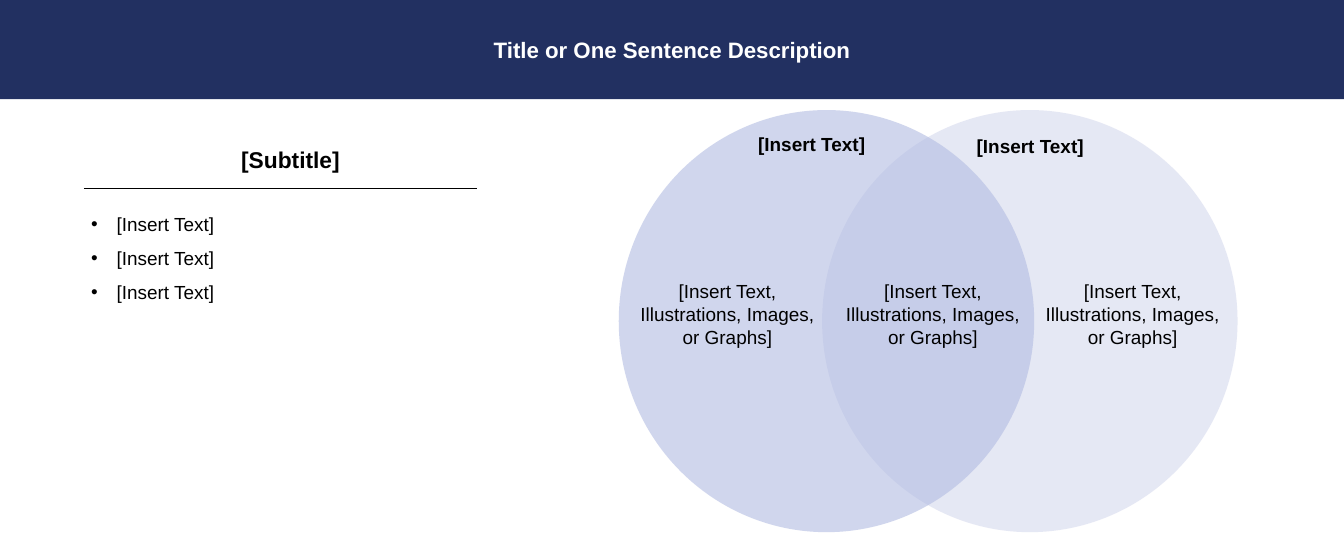
import dataclasses

import pptx
import pptx.dml.color
import pptx.enum.shapes
import pptx.enum.text
import pptx.oxml.ns
import pptx.util
from lxml import etree

SHAPE = pptx.enum.shapes.MSO_SHAPE
ALIGN = pptx.enum.text.PP_ALIGN
ANCHOR = pptx.enum.text.MSO_ANCHOR
FIT = pptx.enum.text.MSO_AUTO_SIZE
qn = pptx.oxml.ns.qn


@dataclasses.dataclass(frozen=True)
class Theme:
    font: str = "Arial"
    navy: str = "223061"
    left_circle: str = "B2BCE2"
    right_circle: str = "D5D9EE"
    ink: str = "000000"
    paper: str = "FFFFFF"
    title_size: float = 22
    subtitle_size: float = 22.5
    body_size: float = 18.7
    rule_width: float = 0.5
    circle_opacity: int = 60
    bullet_indent: float = 0.35


def rgb(value):
    return pptx.dml.color.RGBColor.from_string(value)


def apply_format(target, values):
    for name, value in values.items():
        setattr(target, name, value)


class SlideBuilder:
    def __init__(self, presentation, theme):
        self.presentation = presentation
        self.theme = theme
        self.slide = presentation.slides.add_slide(presentation.slide_layouts[6])

    def place(self, left, top, width, height):
        across = self.presentation.slide_width / 100
        down = self.presentation.slide_height / 100
        return [round(share * unit) for share, unit in
                zip((left, top, width, height), (across, down, across, down))]

    def shape(self, kind, box, color, opacity=100):
        shape = self.slide.shapes.add_shape(kind, *self.place(*box))
        shape.shadow.inherit = False
        shape.fill.solid()
        shape.fill.fore_color.rgb = rgb(color)
        shape.line.fill.background()
        if opacity < 100:
            fill_color = shape._element.spPr.find(qn("a:solidFill"))[0]
            etree.SubElement(fill_color, qn("a:alpha"), val=str(opacity * 1000))
        return shape

    def set_text(self, shape, lines, size, color, bold=False, align=ALIGN.CENTER, spacing=None):
        frame = shape.text_frame
        frame.text = "\n".join(lines)
        for paragraph in frame.paragraphs:
            apply_format(paragraph, {"alignment": align, "line_spacing": spacing})
            for run in paragraph.runs:
                apply_format(run.font, {"name": self.theme.font,
                                        "size": pptx.util.Pt(size), "bold": bold})
                run.font.color.rgb = rgb(color)
        return frame

    def text(self, box, lines, size=None, **style):
        shape = self.slide.shapes.add_textbox(*self.place(*box))
        frame = self.set_text(shape, lines, size or self.theme.body_size, self.theme.ink, **style)
        apply_format(frame, {"word_wrap": True, "auto_size": FIT.SHAPE_TO_FIT_TEXT})
        return frame

    def bullets(self, box, lines):
        frame = self.text(box, lines, align=ALIGN.LEFT, spacing=1.5)
        indent = pptx.util.Inches(self.theme.bullet_indent)
        for paragraph in frame.paragraphs:
            properties = paragraph._p.get_or_add_pPr()
            properties.set("marL", str(indent))
            properties.set("indent", str(-indent))
            etree.SubElement(properties, qn("a:buFont"), typeface=self.theme.font)
            etree.SubElement(properties, qn("a:buChar"), char="•")

    def rule(self, left, top, width):
        x, y, length, _ = self.place(left, top, width, 0)
        connector = self.slide.shapes.add_connector(
            pptx.enum.shapes.MSO_CONNECTOR.STRAIGHT, x, y, x + length, y)
        connector.line.color.rgb = rgb(self.theme.ink)
        connector.line.width = pptx.util.Pt(self.theme.rule_width)
        etree.SubElement(connector._element.spPr, qn("a:effectLst"))

    def banner(self, height, title):
        shape = self.shape(SHAPE.RECTANGLE, (0, 0, 100, height), self.theme.navy)
        frame = self.set_text(shape, [title], self.theme.title_size, self.theme.paper, bold=True)
        frame.vertical_anchor = ANCHOR.MIDDLE


def main():
    presentation = pptx.Presentation()
    apply_format(presentation, {"slide_width": pptx.util.Inches(18.44),
                                "slide_height": pptx.util.Inches(7.38)})
    theme = Theme()
    builder = SlideBuilder(presentation, theme)

    for left, color in ((61.17, theme.right_circle), (46.04, theme.left_circle)):
        builder.shape(SHAPE.OVAL, (left, 20.46, 30.91, 78.46), color, theme.circle_opacity)
    for left, top in ((51.74, 23.98), (68, 24.39)):
        builder.text((left, top, 17.3, 5.69), ["[Insert Text]"], bold=True)
    for left in (76.95, 62.09, 46.8):
        builder.text((left, 51.36, 14.64, 14.23),
                     ["[Insert Text, Illustrations, Images, or Graphs]"])

    builder.bullets((6.24, 36.72, 21.53, 32.66), ["[Insert Text]"] * 3)
    builder.text((10.85, 26.42, 21.53, 6.5), ["[Subtitle]"], theme.subtitle_size, bold=True)
    builder.rule(6.24, 34.96, 29.23)
    builder.banner(18.43, "Title or One Sentence Description")

    presentation.save("out.pptx")


if __name__ == "__main__":
    main()
